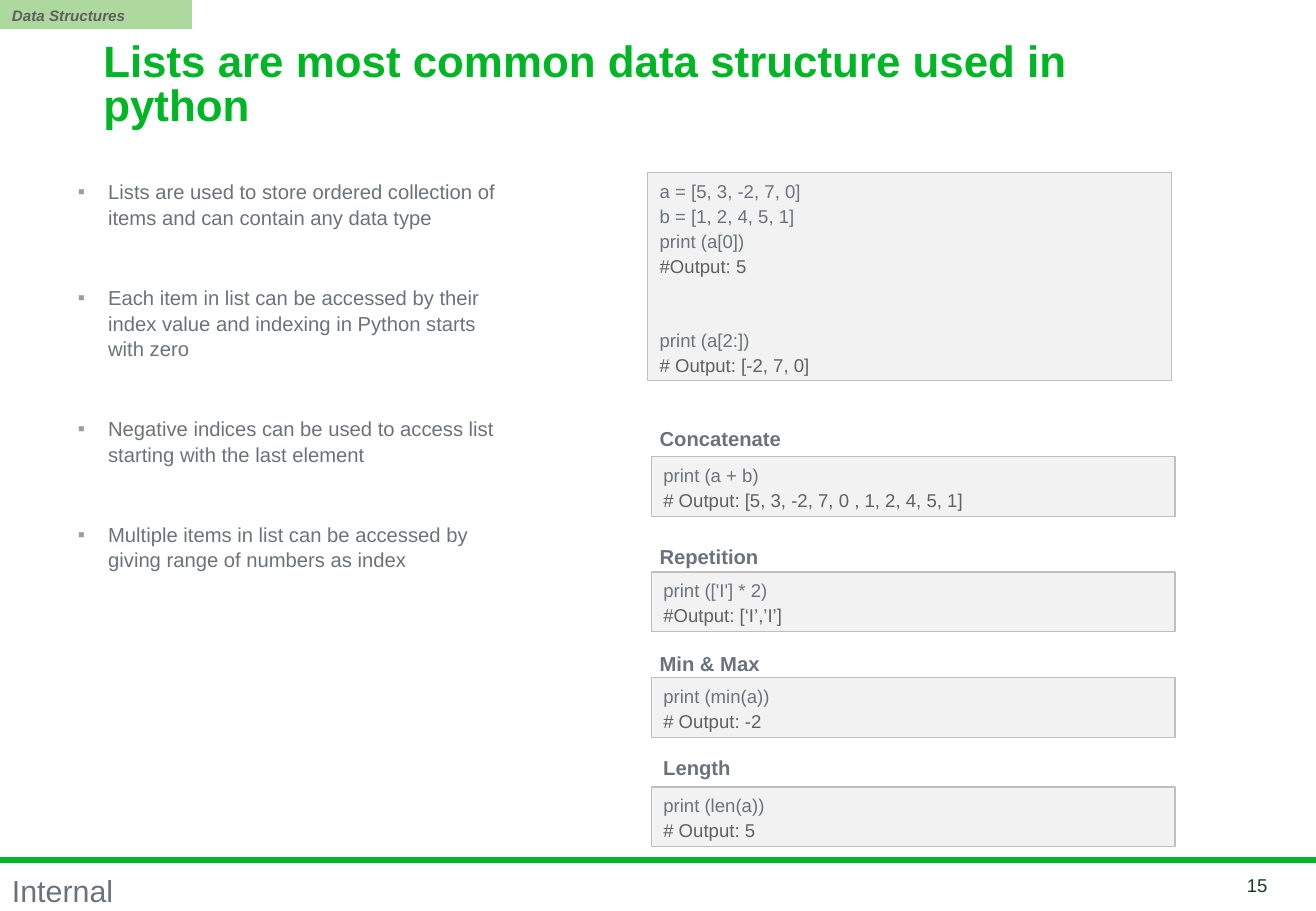
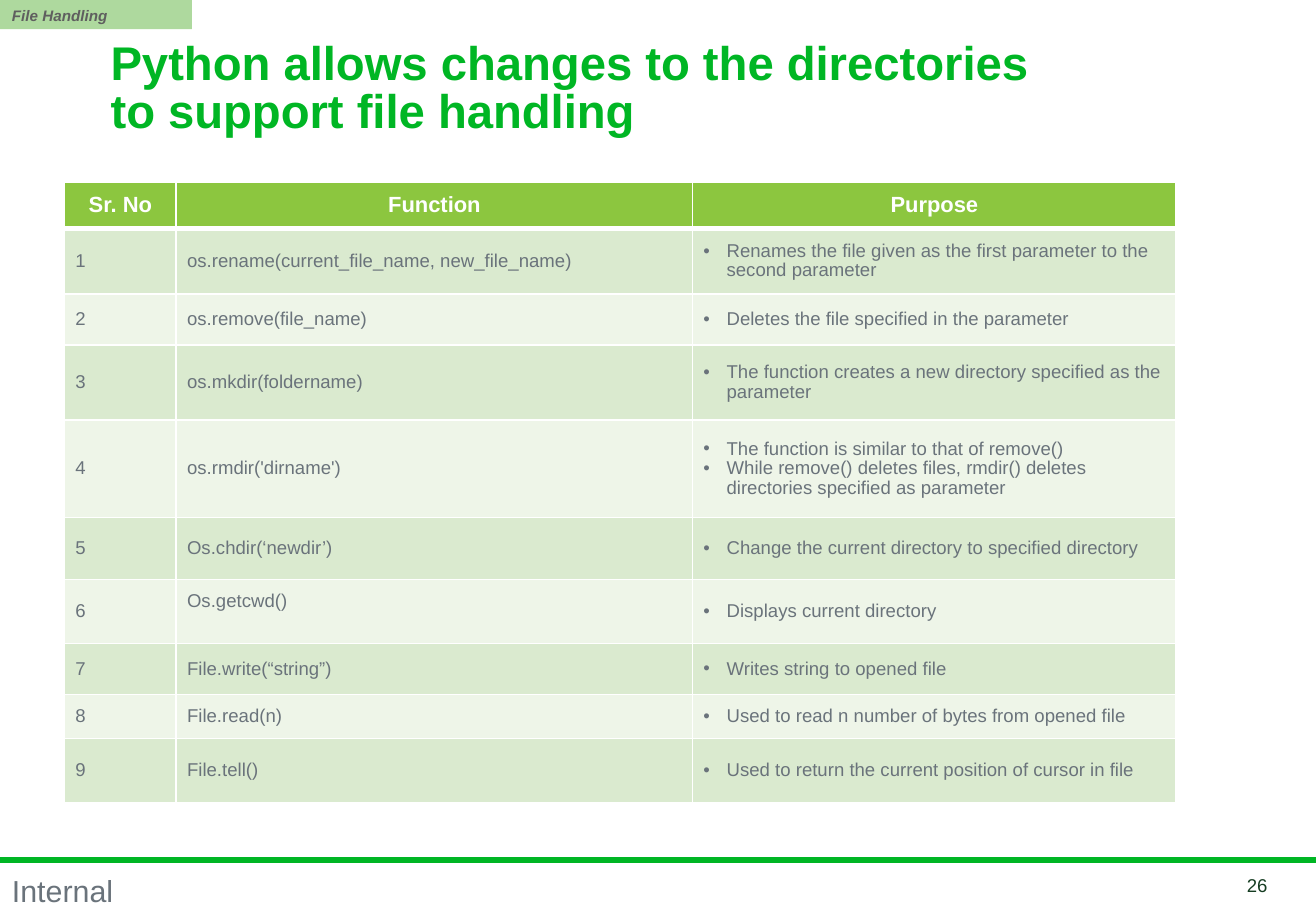
from dataclasses import dataclass

from lxml import etree
from pptx import Presentation
from pptx import util as u
from pptx.dml import color
from pptx.enum import shapes, text
from pptx.oxml import ns


@dataclass(frozen=True)
class Theme:
    font: str = "Arial"
    green: str = "00B624"
    tag_fill: str = "AED99E"
    tag_text: str = "5F5F5F"
    body: str = "6A737B"
    output: str = "606062"
    bullet: str = "9D9DA1"
    code_fill: str = "F2F2F2"
    code_line: str = "BFBFBF"
    number: str = "163D22"
    white: str = "FFFFFF"
    header_fill: str = "8CC63F"
    bands: tuple = ("DAEACF", "EEF5E8")
    tag_size: float = 9
    small_size: float = 11
    body_size: float = 12
    header_size: float = 13
    footer_size: float = 18
    list_title_size: float = 26
    table_title_size: float = 28


def rgb(value):
    return color.RGBColor.from_string(value)


def child(parent, tag, **attributes):
    return etree.SubElement(parent, ns.qn(tag), **attributes)


class SlideBuilder:
    def __init__(self, deck, theme):
        self.deck = deck
        self.theme = theme
        self.slide = None

    def start(self, layout, tag, number):
        self.slide = self.deck.slides.add_slide(self.deck.slide_layouts[layout])
        theme = self.theme
        rule = self.slide.shapes.add_connector(
            shapes.MSO_CONNECTOR.STRAIGHT, 0, u.Inches(7.08), self.deck.slide_width, u.Inches(7.08))
        rule.line.color.rgb = rgb(theme.green)
        rule.line.width = u.Pt(3.5)
        child(rule.element.spPr, "a:effectLst")
        self.label("Internal", (0, 7.15, 1.04, 0.35), theme.footer_size, theme.body,
                   spacing=0.95, wrap=False)
        self.label(number, (9.71, 7.19, 0.82, 0.2), theme.small_size, theme.number,
                   align=text.PP_ALIGN.RIGHT, anchor=text.MSO_ANCHOR.MIDDLE)
        box = self.rectangle((0, 0, 1.58, 0.24), theme.tag_fill)
        self.fill_para(box.text_frame.paragraphs[0], tag, theme.tag_size, theme.tag_text,
                       bold=True, italic=True)

    def fill_para(self, para, words, size, ink, bold=False, italic=False,
                  align=text.PP_ALIGN.LEFT, spacing=1.0, before=0):
        para.alignment = align
        para.line_spacing = spacing
        para.space_before = u.Pt(before)
        para.font.name = self.theme.font
        para.font.size = u.Pt(size)
        para.font.bold = bold
        para.font.italic = italic
        para.font.color.rgb = rgb(ink)
        para.add_run().text = words

    def bullet(self, para, mark, indent, ink=None):
        props = para._p.get_or_add_pPr()
        props.set("marL", str(u.Inches(indent)))
        props.set("indent", str(-u.Inches(indent)))
        if ink:
            child(child(props, "a:buClr"), "a:srgbClr", val=ink)
        child(props, "a:buFont", typeface=self.theme.font)
        child(props, "a:buChar", char=mark)

    def place(self, shape, bounds):
        shape.left, shape.top, shape.width, shape.height = map(u.Inches, bounds)

    def paragraphs(self, frame, count):
        return [frame.paragraphs[0]] + [frame.add_paragraph() for _ in range(count - 1)]

    def title(self, words, bounds, size):
        shape = self.slide.shapes.title
        self.place(shape, bounds)
        frame = shape.text_frame
        frame.auto_size = text.MSO_AUTO_SIZE.NONE
        frame.vertical_anchor = text.MSO_ANCHOR.MIDDLE
        self.fill_para(frame.paragraphs[0], words, size, self.theme.green,
                       bold=True, spacing=0.85)

    def bullets(self, items, bounds, gap):
        shape = self.slide.placeholders[1]
        self.place(shape, bounds)
        frame = shape.text_frame
        frame.auto_size = text.MSO_AUTO_SIZE.NONE
        frame.vertical_anchor = text.MSO_ANCHOR.TOP
        for index, (para, item) in enumerate(zip(self.paragraphs(frame, len(items)), items)):
            self.bullet(para, "▪", 0.25, self.theme.bullet)
            self.fill_para(para, item, self.theme.body_size, self.theme.body,
                           spacing=1.05, before=gap if index else 0)

    def label(self, words, bounds, size, ink, wrap=True, anchor=text.MSO_ANCHOR.TOP, **style):
        box = self.slide.shapes.add_textbox(*map(u.Inches, bounds))
        box.text_frame.word_wrap = wrap
        box.text_frame.vertical_anchor = anchor
        self.fill_para(box.text_frame.paragraphs[0], words, size, ink, **style)

    def rectangle(self, bounds, fill, outline=None):
        box = self.slide.shapes.add_shape(shapes.MSO_SHAPE.RECTANGLE, *map(u.Inches, bounds))
        box.shadow.inherit = False
        box.fill.solid()
        box.fill.fore_color.rgb = rgb(fill)
        if outline:
            box.line.color.rgb = rgb(outline)
            box.line.width = u.Pt(0.75)
        else:
            box.line.fill.background()
        box.text_frame.word_wrap = True
        box.text_frame.vertical_anchor = text.MSO_ANCHOR.TOP
        return box

    def code(self, groups, bounds):
        theme = self.theme
        box = self.rectangle(bounds, theme.code_fill, theme.code_line)
        lines = [(line, 29.9 if start and not row else 1.1)
                 for start, group in enumerate(groups) for row, line in enumerate(group)]
        paras = self.paragraphs(box.text_frame, len(lines))
        for index, (para, (line, gap)) in enumerate(zip(paras, lines)):
            self.fill_para(para, line, theme.small_size,
                           theme.output if line.startswith("#") else theme.body,
                           spacing=1.05, before=gap if index else 0)

    def heading(self, words, left, top):
        self.label(words, (left, top, 2.33, 0.3), self.theme.body_size, self.theme.body,
                   bold=True, spacing=1.05)

    def cell(self, cell, fill, top=1, bottom=1):
        props = cell._tc.get_or_add_tcPr()
        for side, width in (("L", 1), ("R", 1), ("T", top), ("B", bottom)):
            line = child(props, f"a:ln{side}", w=str(u.Pt(width)))
            child(child(line, "a:solidFill"), "a:srgbClr", val=self.theme.white)
        cell.fill.solid()
        cell.fill.fore_color.rgb = rgb(fill)
        cell.vertical_anchor = text.MSO_ANCHOR.MIDDLE
        cell.margin_left = cell.margin_right = u.Inches(0.09)
        cell.margin_top = cell.margin_bottom = u.Inches(0.05)

    def table(self, headers, rows, left, top, widths, heights):
        theme = self.theme
        table = self.slide.shapes.add_table(
            len(heights), len(widths), u.Inches(left), u.Inches(top),
            u.Inches(sum(widths)), u.Inches(sum(heights))).table
        table.horz_banding = False
        for column, width in zip(table.columns, widths):
            column.width = u.Inches(width)
        for row, height in zip(table.rows, heights):
            row.height = u.Inches(height)
        for column, words in enumerate(headers):
            cell = table.cell(0, column)
            self.cell(cell, theme.header_fill, bottom=3)
            self.fill_para(cell.text_frame.paragraphs[0], words, theme.header_size, theme.white,
                           bold=True, align=text.PP_ALIGN.CENTER)
        for number, (function, *purposes) in enumerate(rows, 1):
            for column, items in enumerate(([str(number)], [function], purposes)):
                cell = table.cell(number, column)
                self.cell(cell, theme.bands[(number - 1) % 2], top=3 if number == 1 else 1)
                for para, item in zip(self.paragraphs(cell.text_frame, len(items)), items):
                    if column == 2:
                        self.bullet(para, "•", 0.19)
                    self.fill_para(para, item, theme.small_size, theme.body, spacing=0.95)
        return table


def lists_slide(page):
    page.start(1, "Data Structures", "15")
    page.title("Lists are most common data structure used in python",
               (0.75, 0.42, 9, 0.58), page.theme.list_title_size)
    page.bullets([
        "Lists are used to store ordered collection of items and can contain any data type",
        "Each item in list can be accessed by their index value and indexing in Python starts with zero",
        "Negative indices can be used to access list starting with the last element",
        "Multiple items in list can be accessed by giving range of numbers as index",
    ], (0.54, 1.42, 3.8, 4.11), 32.4)
    page.code([
        ["a = [5, 3, -2, 7, 0]", "b = [1, 2, 4, 5, 1]", "print (a[0])", "#Output: 5"],
        ["print (a[2:])", "# Output: [-2, 7, 0]"],
    ], (5.33, 1.42, 4.31, 1.71))
    examples = [
        ("Concatenate", 5.33, 3.45, 3.76,
         ["print (a + b)", "# Output: [5, 3, -2, 7, 0 , 1, 2, 4, 5, 1]"]),
        ("Repetition", 5.33, 4.42, 4.71, ["print (['I'] * 2)", "#Output: [‘I’,’I’]"]),
        ("Min & Max", 5.33, 5.3, 5.58, ["print (min(a))", "# Output: -2"]),
        ("Length", 5.36, 6.16, 6.48, ["print (len(a))", "# Output: 5"]),
    ]
    for name, left, name_top, code_top, lines in examples:
        page.code([lines], (5.36, code_top, 4.31, 0.49))
        page.heading(name, left, name_top)


def files_slide(page):
    page.start(5, "File Handling", "26")
    page.title("Python allows changes to the directories to support file handling",
               (0.81, 0.3, 8.03, 0.88), page.theme.table_title_size)
    table = page.table(["Sr. No", "Function", "Purpose"], [
        ("os.rename(current_file_name, new_file_name)",
         "Renames the file given as the first parameter to the second parameter"),
        ("os.remove(file_name)", "Deletes the file specified in the parameter"),
        ("os.mkdir(foldername)", "The function creates a new directory specified as the parameter"),
        ("os.rmdir('dirname')", "The function is similar to that of remove()",
         "While remove() deletes files, rmdir() deletes directories specified as parameter"),
        ("Os.chdir(‘newdir’)", "Change the current directory to specified directory"),
        ("Os.getcwd()", "Displays current directory"),
        ("File.write(“string”)", "Writes string to opened file"),
        ("File.read(n)", "Used to read n number of bytes from opened file"),
        ("File.tell()", "Used to return the current position of cursor in file"),
    ], 0.53, 1.5, [0.92, 4.25, 3.98],
        [0.38, 0.54, 0.42, 0.62, 0.8, 0.51, 0.53, 0.42, 0.36, 0.53])
    table.cell(6, 1).margin_bottom = u.Inches(0.22)


def main():
    deck = Presentation()
    deck.slide_width, deck.slide_height = u.Inches(10.83), u.Inches(7.5)
    page = SlideBuilder(deck, Theme())
    lists_slide(page)
    files_slide(page)
    deck.save("out.pptx")


if __name__ == "__main__":
    main()
